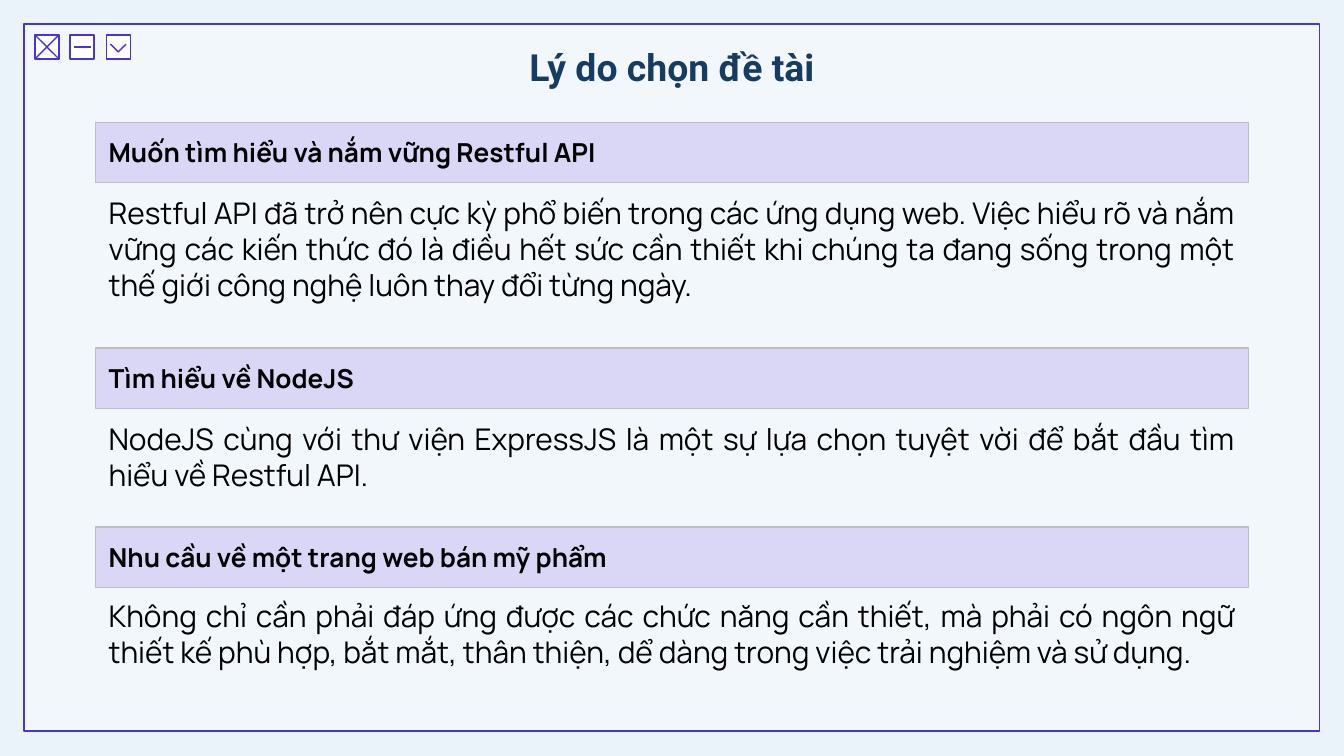
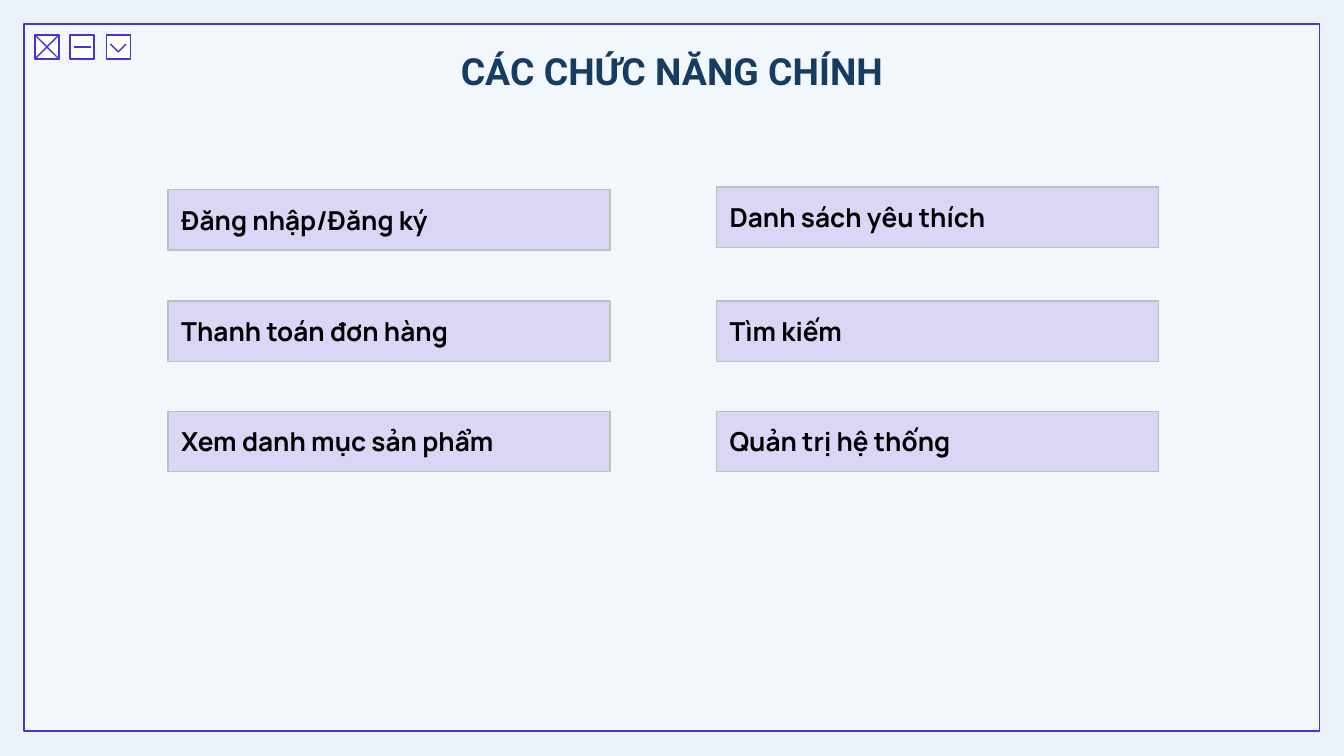
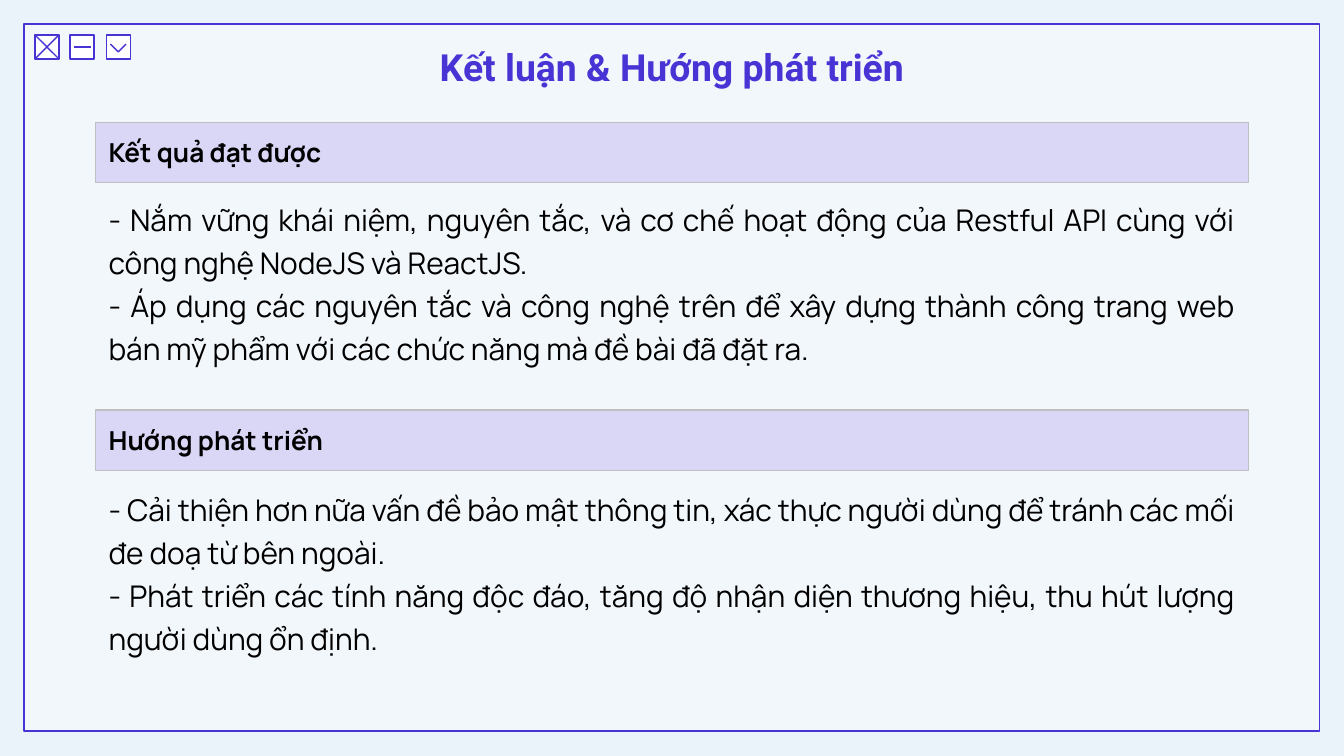
from dataclasses import dataclass
from typing import Optional

from lxml import etree
from pptx import Presentation
from pptx import util as u
from pptx.dml import color as c
from pptx.enum import shapes, text
from pptx.oxml import ns

HUES = {
    "page": "EAF2FA",
    "white": "FFFFFF",
    "frame": "4834D4",
    "navy": "173C62",
    "band": "DAD6F6",
    "edge": "BFBFBF",
    "ink": "000000",
    "gold": "F9CA24",
    "pink": "FFE8F5",
}
KIND = shapes.MSO_SHAPE
ALIGN = text.PP_ALIGN
ANCHOR = text.MSO_ANCHOR
LEFT, WIDE = 0.71, 8.58
BAND_H = 0.45
PEN = 0.75


@dataclass(frozen=True)
class Box:
    x: float
    y: float
    w: float
    h: float

    def spot(self) -> tuple:
        return tuple(u.Inches(v) for v in (self.x, self.y, self.w, self.h))


@dataclass(frozen=True)
class Font:
    face: str
    size: int
    hue: str
    bold: bool = False


@dataclass(frozen=True)
class Band:
    label: str
    x: float
    y: float
    w: float


@dataclass(frozen=True)
class Note:
    lines: tuple
    y: float
    h: float
    space: Optional[float] = None


@dataclass(frozen=True)
class Icon:
    kind: int
    box: Box
    fill: str
    turn: int = 0
    bends: int = 0


@dataclass(frozen=True)
class Page:
    title: str
    spot: Box
    hue: str
    bands: tuple
    notes: tuple = ()


HEAD = Font("Manrope", 14, "ink", True)
BODY = Font("Manrope", 16, "ink")
ICONS = (
    Icon(KIND.RECTANGLE, Box(0.26, 0.26, 0.18, 0.18), "white"),
    Icon(KIND.MATH_MULTIPLY, Box(0.18, 0.18, 0.34, 0.34), "gold", bends=1),
    Icon(KIND.RECTANGLE, Box(0.52, 0.26, 0.18, 0.18), "white"),
    Icon(KIND.RECTANGLE, Box(0.79, 0.26, 0.18, 0.18), "white"),
    Icon(KIND.HALF_FRAME, Box(0.84, 0.29, 0.08, 0.08), "pink", 225, 2),
)


def tint(name: str) -> c.RGBColor:
    return c.RGBColor.from_string(HUES[name])


def write(frame, lines: tuple, font: Font, align: int,
          space: Optional[float] = None) -> None:
    for i, line in enumerate(lines):
        para = frame.paragraphs[0] if i == 0 else frame.add_paragraph()
        para.alignment = align
        if space:
            para.line_spacing = space
        run = para.add_run()
        run.text = line
        run.font.name = font.face
        run.font.size = u.Pt(font.size)
        run.font.bold = font.bold
        run.font.color.rgb = tint(font.hue)


def pad(frame, side: float, edge: float) -> None:
    frame.word_wrap = True
    frame.margin_left = frame.margin_right = u.Inches(side)
    frame.margin_top = frame.margin_bottom = u.Inches(edge)


def shape(slide, kind: int, box: Box, fill: str, line: str):
    item = slide.shapes.add_shape(kind, *box.spot())
    item.shadow.inherit = False
    item.fill.solid()
    item.fill.fore_color.rgb = tint(fill)
    item.line.color.rgb = tint(line)
    item.line.width = u.Pt(PEN)
    return item


def window(slide) -> None:
    slide.background.fill.solid()
    slide.background.fill.fore_color.rgb = tint("page")
    pane = shape(slide, KIND.RECTANGLE, Box(0.18, 0.18, 9.64, 5.26),
                 "white", "frame")
    shade = pane._element.spPr.find(ns.qn("a:solidFill"))[0]
    etree.SubElement(shade, ns.qn("a:alpha"), val="41000")
    for icon in ICONS:
        item = shape(slide, icon.kind, icon.box, icon.fill, "frame")
        item.rotation = icon.turn
        for i in range(icon.bends):
            item.adjustments[i] = 0
    dash = slide.shapes.add_connector(
        shapes.MSO_CONNECTOR.STRAIGHT,
        *(u.Inches(v) for v in (0.55, 0.35, 0.68, 0.35)))
    dash.line.color.rgb = tint("frame")
    dash.line.width = u.Pt(PEN)
    etree.SubElement(dash._element.spPr, ns.qn("a:effectLst"))


def title(slide, page: Page) -> None:
    frame = slide.shapes.add_textbox(*page.spot.spot()).text_frame
    pad(frame, 0.1, 0.1)
    frame.vertical_anchor = ANCHOR.TOP
    write(frame, (page.title,), Font("Roboto", 20, page.hue, True),
          ALIGN.CENTER)


def band(slide, item: Band) -> None:
    frame = shape(slide, KIND.RECTANGLE,
                  Box(item.x, item.y, item.w, BAND_H),
                  "band", "edge").text_frame
    pad(frame, 0.1, 0.1)
    frame.vertical_anchor = ANCHOR.MIDDLE
    write(frame, (item.label,), HEAD, ALIGN.LEFT)


def note(slide, item: Note) -> None:
    box = Box(LEFT, item.y, WIDE, item.h)
    frame = slide.shapes.add_textbox(*box.spot()).text_frame
    pad(frame, 0.1, 0.05)
    frame.auto_size = text.MSO_AUTO_SIZE.SHAPE_TO_FIT_TEXT
    write(frame, item.lines, BODY, ALIGN.JUSTIFY, item.space)


def stack(x: float, w: float, rows: tuple) -> tuple:
    return tuple(Band(label, x, y, w) for label, y in rows)


TOP = Box(2.96, 0.23, 4.08, 0.63)
PAGES = (
    Page(
        "Lý do chọn đề tài", TOP, "navy",
        stack(LEFT, WIDE, (
            ("Muốn tìm hiểu và nắm vững Restful API", 0.91),
            ("Tìm hiểu về NodeJS", 2.59),
            ("Nhu cầu về một trang web bán mỹ phẩm", 3.92),
        )),
        (
            Note(("Restful API đã trở nên cực kỳ phổ biến trong các ứng dụng "
                  "web. Việc hiểu rõ và nắm vững các kiến thức đó là điều hết "
                  "sức cần thiết khi chúng ta đang sống trong một thế giới "
                  "công nghệ luôn thay đổi từng ngày.",), 1.4, 0.91),
            Note(("NodeJS cùng với thư viện ExpressJS là một sự lựa chọn "
                  "tuyệt vời để bắt đầu tìm hiểu về Restful API.",),
                 3.08, 0.64),
            Note(("Không chỉ cần phải đáp ứng được các chức năng cần thiết, "
                  "mà phải có ngôn ngữ thiết kế phù hợp, bắt mắt, thân thiện, "
                  "dể dàng trong việc trải nghiệm và sử dụng.",), 4.4, 0.64),
        ),
    ),
    Page(
        "CÁC CHỨC NĂNG CHÍNH", Box(2.75, 0.26, 4.5, 0.83), "navy",
        stack(1.25, 3.29, (
            ("Đăng nhập/Đăng ký", 1.41),
            ("Thanh toán đơn hàng", 2.24),
            ("Xem danh mục sản phẩm", 3.06),
        )) + stack(5.33, 3.29, (
            ("Danh sách yêu thích", 1.39),
            ("Tìm kiếm", 2.24),
            ("Quản trị hệ thống", 3.06),
        )),
    ),
    Page(
        "Kết luận & Hướng phát triển", TOP, "frame",
        stack(LEFT, WIDE, (
            ("Kết quả đạt được", 0.91),
            ("Hướng phát triển", 3.05),
        )),
        (
            Note(("- Nắm vững khái niệm, nguyên tắc, và cơ chế hoạt động của "
                  "Restful API cùng với công nghệ NodeJS và ReactJS. ",
                  "- Áp dụng các nguyên tắc và công nghệ trên để xây dựng "
                  "thành công trang web bán mỹ phẩm với các chức năng mà đề "
                  "bài đã đặt ra."), 1.4, 1.36, 1.2),
            Note(("- Cải thiện hơn nữa vấn đề bảo mật thông tin, xác thực "
                  "người dùng để tránh các mối đe doạ từ bên ngoài.",
                  "- Phát triển các tính năng độc đáo, tăng độ nhận diện "
                  "thương hiệu, thu hút lượng người dùng ổn định."),
                 3.56, 1.36, 1.2),
        ),
    ),
)


def main() -> None:
    deck = Presentation()
    deck.slide_width = u.Inches(10)
    deck.slide_height = u.Inches(10) * 9 // 16
    for page in PAGES:
        slide = deck.slides.add_slide(deck.slide_layouts[6])
        window(slide)
        title(slide, page)
        for item in page.bands:
            band(slide, item)
        for item in page.notes:
            note(slide, item)
    deck.save("out.pptx")


if __name__ == "__main__":
    main()
